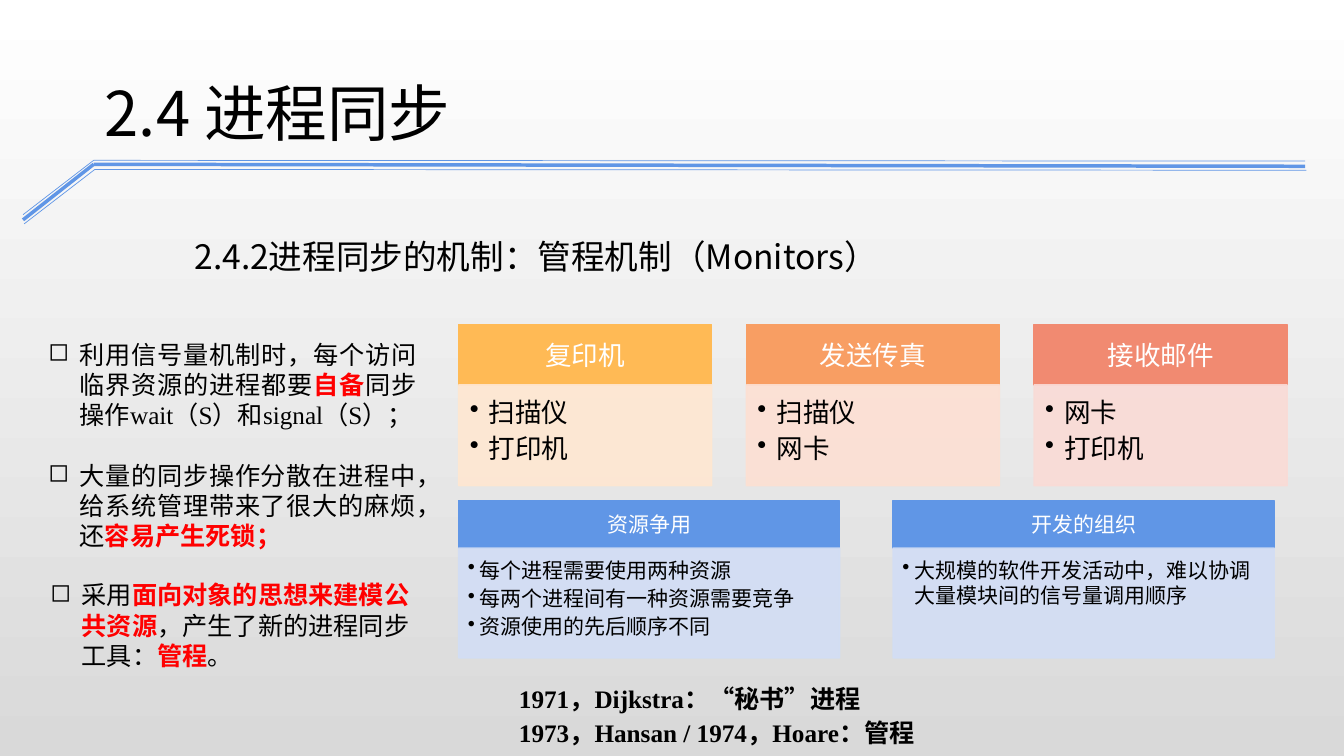
from lxml import etree
from pptx import Presentation
from pptx import util as u
from pptx.dml.color import RGBColor
from pptx.enum import shapes, text
from pptx.oxml import ns

THEME = {
    "sans": "Arial", "serif": "Times New Roman", "cjk": "Noto Sans CJK JP",
    "black": "000000", "white": "FFFFFF", "red": "FF0000", "blue": "6096E6",
    "pale_blue": "D2DDF5", "grey": "D9D9D9",
    "title": 44, "subtitle": 24, "text": 18, "card": 19, "small": 15,
}
CENTRE, JUSTIFY = text.PP_ALIGN.CENTER, text.PP_ALIGN.JUSTIFY


def add_child(parent, tag, **attributes):
    return etree.SubElement(parent, ns.qn(tag), attributes)


def write(shape, paragraphs, size, font, color="black", bold=False, margins=(0.25, 0.13, 0.25, 0.13),
          anchor=text.MSO_ANCHOR.TOP, bullet=None, indent=0, **layout):
    """Fill a shape with paragraphs, each a list of strings; odd strings are red and bold."""
    frame = shape.text_frame
    frame.word_wrap, frame.vertical_anchor = True, anchor
    for side, margin in zip(("left", "top", "right", "bottom"), margins):
        setattr(frame, f"margin_{side}", u.Cm(margin))
    for number, pieces in enumerate(paragraphs):
        para = frame.add_paragraph() if number else frame.paragraphs[0]
        if bullet:
            properties = para._p.get_or_add_pPr()
            properties.set("marL", str(u.Cm(indent)))
            properties.set("indent", str(-u.Cm(indent)))
            add_child(properties, "a:buChar", char=bullet)
        for name, value in layout.items():
            if number or name != "space_before":
                setattr(para, name, value)
        for place, piece in enumerate(pieces):
            marked = place % 2 == 1
            span = para.add_run()
            span.text = piece
            formats = {"name": font, "size": u.Pt(size), "bold": bold or marked}
            for name, value in formats.items():
                setattr(span.font, name, value)
            span.font.color.rgb = RGBColor.from_string(THEME["red" if marked else color])
            add_child(span._r.get_or_add_rPr(), "a:ea", typeface=THEME["cjk"])


deck = Presentation()
deck.slide_width, deck.slide_height = u.Cm(33.87), u.Cm(19.05)
page = deck.slides.add_slide(deck.slide_layouts[6])
backdrop = page.background.fill
backdrop.gradient()
backdrop.gradient_angle = 270
for stop, name in zip(backdrop.gradient_stops, ("white", "grey")):
    stop.color.rgb = RGBColor.from_string(THEME[name])

# Bent triple rule under the title
rules = [
    (0.5, [(0.58, 5.41), (2.36, 4.04), (32.89, 4.06)]),
    (2.5, [(0.58, 5.54), (2.36, 4.14), (32.89, 4.19)]),
    (0.5, [(0.61, 5.64), (2.39, 4.27), (32.92, 4.29)]),
]
for weight, points in rules:
    for start, end in zip(points, points[1:]):
        rule = page.shapes.add_connector(shapes.MSO_CONNECTOR.STRAIGHT, *map(u.Cm, start + end))
        rule.line.color.rgb = RGBColor.from_string(THEME["blue"])
        rule.line.width = u.Pt(weight)
        add_child(rule._element.spPr, "a:effectLst")

# Free text: place, paragraphs and formats
blocks = [
    ((4.65, 5.21, 29.08, 1.8), [["2.4.2进程同步的机制：管程机制（Monitors）"]],
     dict(size=THEME["subtitle"], font=THEME["cjk"], line_spacing=u.Pt(46))),
    ((2.39, 1.6, 24.18, 2.13), [["2.4 进程同步"]],
     dict(size=THEME["title"], font=THEME["cjk"], line_spacing=u.Pt(57))),
    ((0.97, 8.41, 9.78, 5.64),
     [["利用信号量机制时，每个访问临界资源的进程都要", "自备", "同步操作wait（S）和signal（S）；"],
      ["大量的同步操作分散在进程中，给系统管理带来了很大的麻烦，还", "容易产生死锁；"]],
     dict(size=THEME["text"], font=THEME["serif"], bullet="◻", indent=0.79, alignment=JUSTIFY,
          line_spacing=u.Pt(21.6), space_before=u.Pt(21.6))),
    ((1.02, 14.48, 9.88, 2.57),
     [["采用", "面向对象的思想来建模公共资源", "，产生了新的进程同步工具：", "管程", "。"]],
     dict(size=THEME["text"], font=THEME["sans"], bullet="◻", indent=0.79, line_spacing=u.Pt(21.6))),
    ((11.56, 17.02, 16.94, 1.96),
     [["1971，Dijkstra：“秘书”进程"], ["1973，Hansan / 1974，Hoare：管程"]],
     dict(size=THEME["text"], font=THEME["serif"], bold=True, margins=(1.52, 0.13, 0.25, 0.13),
          line_spacing=u.Pt(23.8))),
]
for place, paragraphs, formats in blocks:
    write(page.shapes.add_textbox(*map(u.Cm, place)), paragraphs, **formats)

# Two rows of cards, each a header above a bulleted body
rows = [
    dict(top=8.18, width=6.38, step=7.25, header=1.52, body=2.54, size=THEME["card"], indent=0.48,
         header_margins=(0.38, 0.2, 0.38, 0.2), body_margins=(0.28, 0.28, 0.38, 0.43),
         cards=[("复印机", ["扫描仪", "打印机"], "FFBA55", "FFE7D1"),
                ("发送传真", ["扫描仪", "网卡"], "F89E63", "FDE0D3"),
                ("接收邮件", ["网卡", "打印机"], "F18A71", "FADBD6")]),
    dict(top=12.62, width=9.6, step=10.95, header=1.19, body=2.77, size=THEME["small"], indent=0.3,
         header_margins=(0.3, 0.18, 0.3, 0.18), body_margins=(0.23, 0.23, 0.3, 0.33),
         cards=[("资源争用", ["每个进程需要使用两种资源", "每两个进程间有一种资源需要竞争", "资源使用的先后顺序不同"],
                 THEME["blue"], THEME["pale_blue"]),
                ("开发的组织", ["大规模的软件开发活动中，难以协调大量模块间的信号量调用顺序"],
                 THEME["blue"], THEME["pale_blue"])]),
]
for row in rows:
    size = row["size"]
    for column, (heading, items, strong, pale) in enumerate(row["cards"]):
        left = 11.56 + column * row["step"]
        parts = [
            (row["top"], row["header"], strong, 100, [[heading]],
             dict(color="white", margins=row["header_margins"], anchor=text.MSO_ANCHOR.MIDDLE,
                  alignment=CENTRE)),
            (row["top"] + row["header"], row["body"], pale, 90, [[item] for item in items],
             dict(margins=row["body_margins"], bullet="•", indent=row["indent"],
                  alignment=text.PP_ALIGN.LEFT, line_spacing=u.Pt(size * 1.2),
                  space_after=u.Pt(size * 0.15))),
        ]
        for top, height, color, opacity, paragraphs, formats in parts:
            box = page.shapes.add_shape(shapes.MSO_SHAPE.RECTANGLE, u.Cm(left), u.Cm(top),
                                        u.Cm(row["width"]), u.Cm(height))
            box.shadow.inherit = False
            box.fill.solid()
            box.line.width = u.Pt(1)
            for paint in (box.fill.fore_color, box.line.color):
                paint.rgb = RGBColor.from_string(color)
            if opacity < 100:
                for paint in box._element.spPr.iter(ns.qn("a:srgbClr")):
                    add_child(paint, "a:alpha", val=str(opacity * 1000))
            write(box, paragraphs, size, THEME["sans"], **formats)

deck.save("out.pptx")
